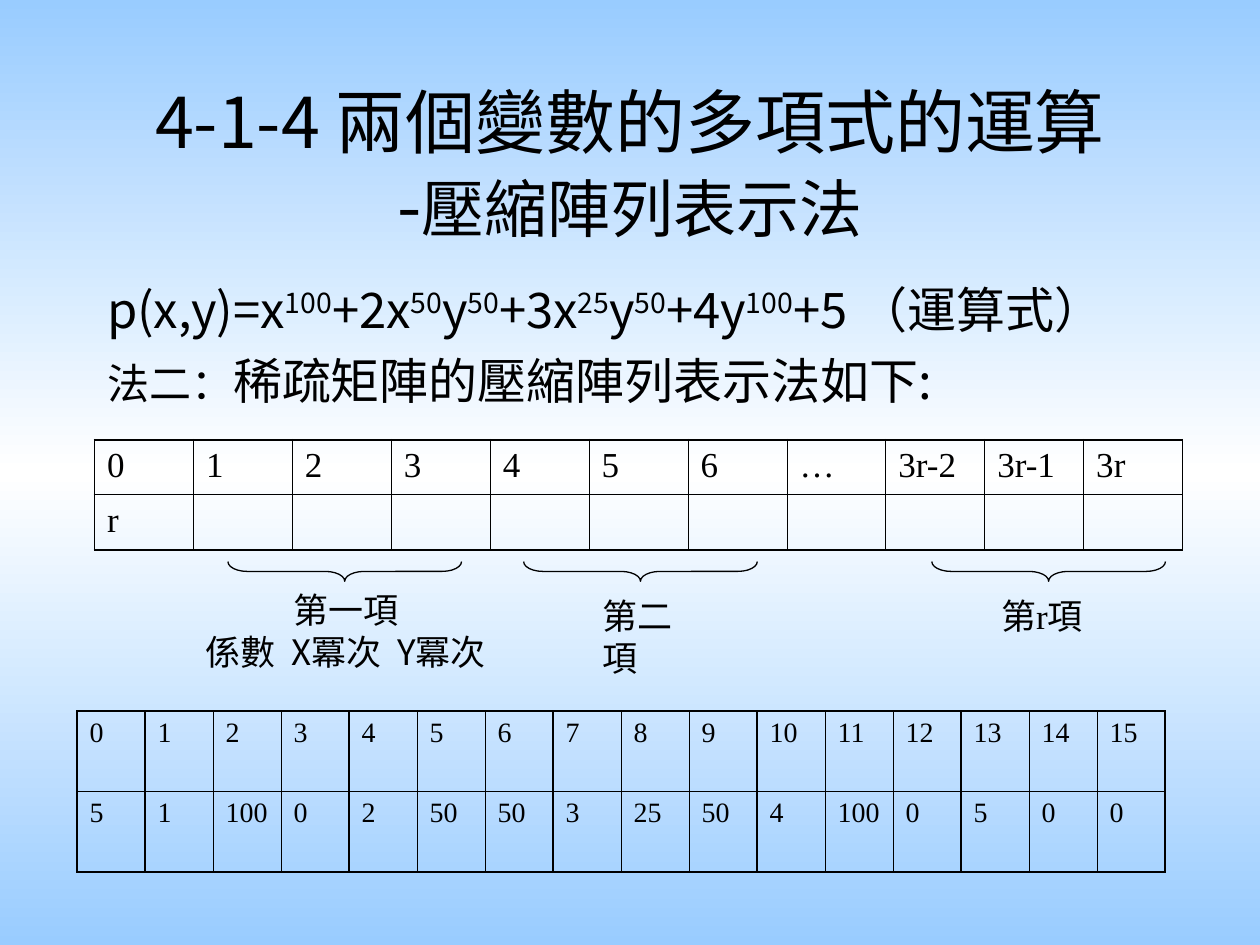
"""Build the slide on compressed array storage for two-variable polynomials."""
import copy
from dataclasses import dataclass

import pptx
import pptx.dml.color
import pptx.enum.shapes
import pptx.enum.text
import pptx.oxml.ns
import pptx.util
from lxml import etree

Pt = pptx.util.Pt
qn = pptx.oxml.ns.qn
RGB = pptx.dml.color.RGBColor.from_string
ALIGN = pptx.enum.text.PP_ALIGN
ANCHOR = pptx.enum.text.MSO_ANCHOR
FIT = pptx.enum.text.MSO_AUTO_SIZE


@dataclass
class Theme:
    ink: str = "000000"
    sky: str = "99CCFF"
    white: str = "FFFFFF"
    sans: str = "Noto Sans CJK SC"
    serif: str = "Times New Roman"
    title: int = 40
    subtitle: int = 36
    formula: int = 28
    lead: int = 24
    label: int = 20
    cell: int = 16
    hair: float = 0.45
    edge: float = 1.08
    group: float = 1.47
    brace: float = 0.75


def assign(obj, **values):
    for name, value in values.items():
        setattr(obj, name, value)


class Deck:
    def __init__(self, theme):
        self.theme = theme
        self.prs = pptx.Presentation()
        assign(self.prs, slide_width=Pt(720), slide_height=Pt(540))
        self.s = self.prs.slides.add_slide(self.prs.slide_layouts[1])

    def background(self):
        t = self.theme
        fill = self.s.background.fill
        fill.gradient()
        fill.gradient_angle = 90
        stops = self.s.element.find(".//" + qn("a:gsLst"))
        stops.append(copy.deepcopy(stops[0]))
        for stop, position, color in zip(fill.gradient_stops, (0, 0.5, 1), (t.sky, t.white, t.sky)):
            stop.position = position
            stop.color.rgb = RGB(color)

    def run(self, p, text, size, font, raised=False):
        r = p.add_run()
        r.text = text
        assign(r.font, size=Pt(size), name=font)
        r.font.color.rgb = RGB(self.theme.ink)
        rPr = r.font._element
        etree.SubElement(rPr, qn("a:ea")).set("typeface", self.theme.sans)
        if raised:
            rPr.set("baseline", "30000")

    def place(self, sp, left, top, width, height, **frame):
        assign(sp, left=Pt(left), top=Pt(top), width=Pt(width), height=Pt(height))
        assign(sp.text_frame, **frame)
        return sp.text_frame

    def title(self, box, first, second):
        t = self.theme
        tf = self.place(self.s.shapes.title, *box, auto_size=FIT.NONE,
                        vertical_anchor=ANCHOR.MIDDLE)
        p = tf.paragraphs[0]
        p.alignment = ALIGN.CENTER
        self.run(p, first, t.title, t.sans)
        p.add_line_break()
        self.run(p, "-", t.title, t.sans)
        self.run(p, second, t.subtitle, t.sans)

    def body(self, box, lines):
        tf = self.place(self.s.placeholders[1], *box, auto_size=FIT.NONE,
                        vertical_anchor=ANCHOR.TOP)
        for i, runs in enumerate(lines):
            p = tf.add_paragraph() if i else tf.paragraphs[0]
            p.space_before = Pt(7)
            pPr = p._p.get_or_add_pPr()
            pPr.set("marL", str(Pt(27)))
            pPr.set("indent", str(-Pt(27)))
            etree.SubElement(pPr, qn("a:buNone"))
            for r in runs:
                self.run(p, *r)

    def label(self, box, lines, font, align=ALIGN.LEFT):
        sp = self.s.shapes.add_textbox(0, 0, 0, 0)
        tf = self.place(sp, *box, word_wrap=False, auto_size=FIT.SHAPE_TO_FIT_TEXT)
        for i, text in enumerate(lines):
            p = tf.add_paragraph() if i else tf.paragraphs[0]
            p.alignment = align
            self.run(p, text, self.theme.label, font)

    def brace(self, center):
        width, height, middle = 11.25, 133.5, 326.5
        sp = self.s.shapes.add_shape(
            pptx.enum.shapes.MSO_SHAPE.LEFT_BRACE, Pt(center - width / 2),
            Pt(middle - height / 2), Pt(width), Pt(height))
        sp.rotation = 270
        sp.adjustments[0] = 0.98
        sp.shadow.inherit = False
        sp.fill.background()
        sp.line.color.rgb = RGB(self.theme.ink)
        sp.line.width = Pt(self.theme.brace)

    def borders(self, cell, widths):
        tcPr = cell._tc.get_or_add_tcPr()
        for i, (side, width) in enumerate(zip("LRTB", widths)):
            ln = etree.Element(qn("a:ln" + side), w=str(Pt(width)))
            fill = etree.SubElement(ln, qn("a:solidFill"))
            etree.SubElement(fill, qn("a:srgbClr")).set("val", self.theme.ink)
            tcPr.insert(i, ln)

    def table(self, box, rows, size, before, grouped=False):
        t = self.theme
        n_rows, n_cols = len(rows), len(rows[0])
        table = self.s.shapes.add_table(n_rows, n_cols, *map(Pt, box)).table
        assign(table, first_row=False, horz_banding=False)

        def rule(i, last, grouped=False):
            if i in (0, last):
                return t.edge
            return t.group if grouped and i % 3 == 1 else t.hair

        for col in table.columns:
            col.width = Pt(box[2] / n_cols)
        for i, row in enumerate(rows):
            table.rows[i].height = Pt(box[3] / n_rows)
            for j, text in enumerate(row):
                cell = table.cell(i, j)
                cell.fill.background()
                self.borders(cell, (rule(j, n_cols, grouped), rule(j + 1, n_cols, grouped),
                                    rule(i, n_rows), rule(i + 1, n_rows)))
                if text:
                    p = cell.text_frame.paragraphs[0]
                    p.space_before = Pt(before)
                    self.run(p, text, size, t.serif)


def main():
    t = Theme()
    deck = Deck(t)
    deck.background()
    deck.title((54, 48, 612, 90), "4-1-4 兩個變數的多項式的運算", "壓縮陣列表示法")

    terms = ("p(x,y)=x", "100", "+2x", "50", "y", "50", "+3x", "25", "y", "50",
             "+4y", "100", "+5 （運算式）")
    formula = [(text, t.formula, t.sans, i % 2 == 1) for i, text in enumerate(terms)]
    method = [("法二：", t.lead, t.serif),
              ("稀疏矩陣的壓縮陣列表示法如下:", t.formula, t.sans)]
    deck.body((54, 156, 666, 324), (formula, method))

    values = "5 1 100 0 2 50 50 3 25 50 4 100 0 5 0 0".split()
    deck.table((44, 406.25, 622, 92), ([str(i) for i in range(16)], values),
               t.cell, 4, grouped=True)
    indices = "0 1 2 3 4 5 6 … 3r-2 3r-1 3r".split()
    deck.table((54, 251.25, 622, 63), (indices, ["r"] + [""] * 10), t.label, 5)

    for center in (197, 366, 599.25):
        deck.brace(center)
    deck.label((88.5, 333, 218, 55.5), ("第一項", "係數  X冪次  Y冪次"), t.sans, ALIGN.CENTER)
    deck.label((337, 336, 74, 31.5), ("第二項",), t.serif)
    deck.label((565, 336, 70.5, 31.5), ("第r項",), t.serif)
    deck.prs.save("out.pptx")


if __name__ == "__main__":
    main()
